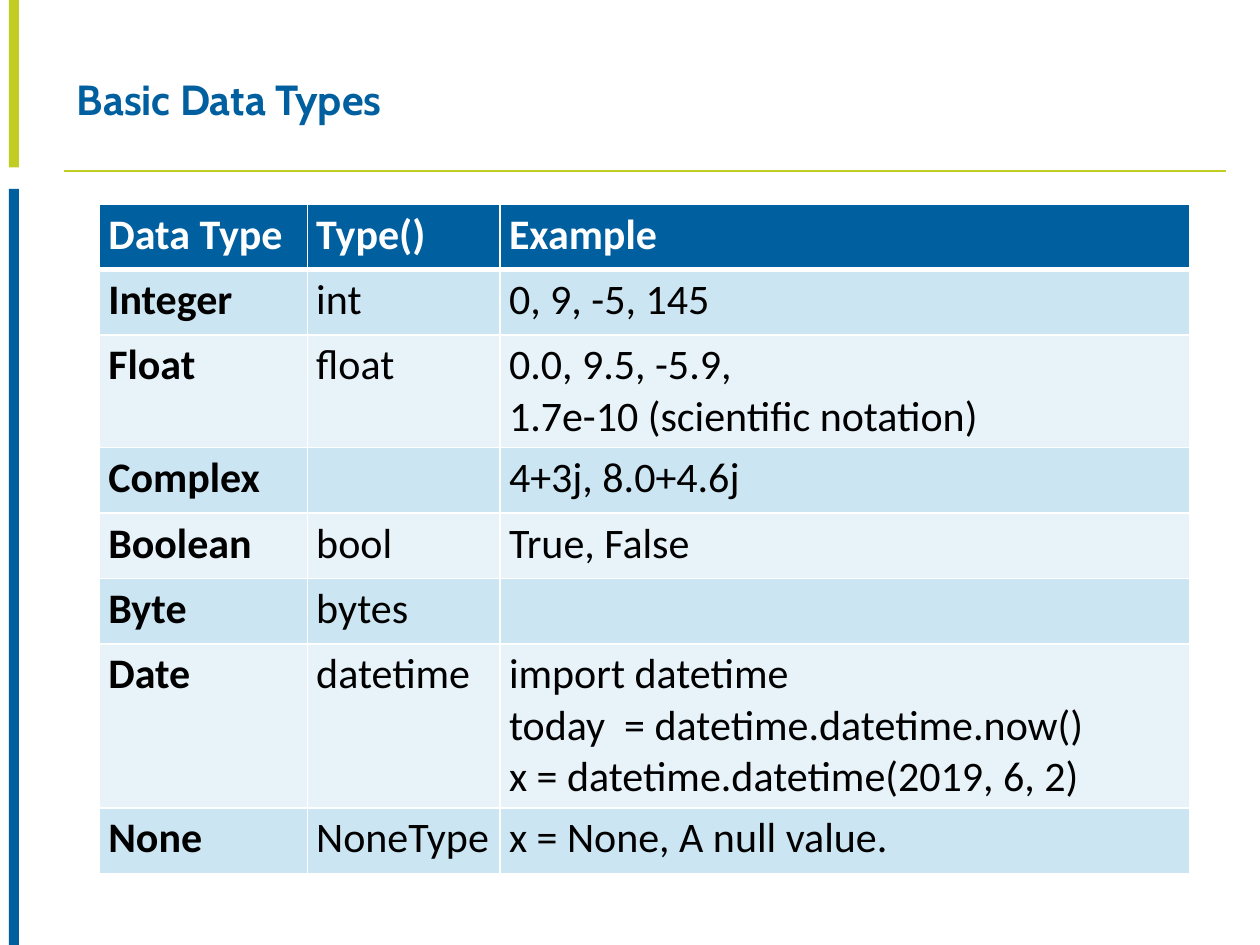
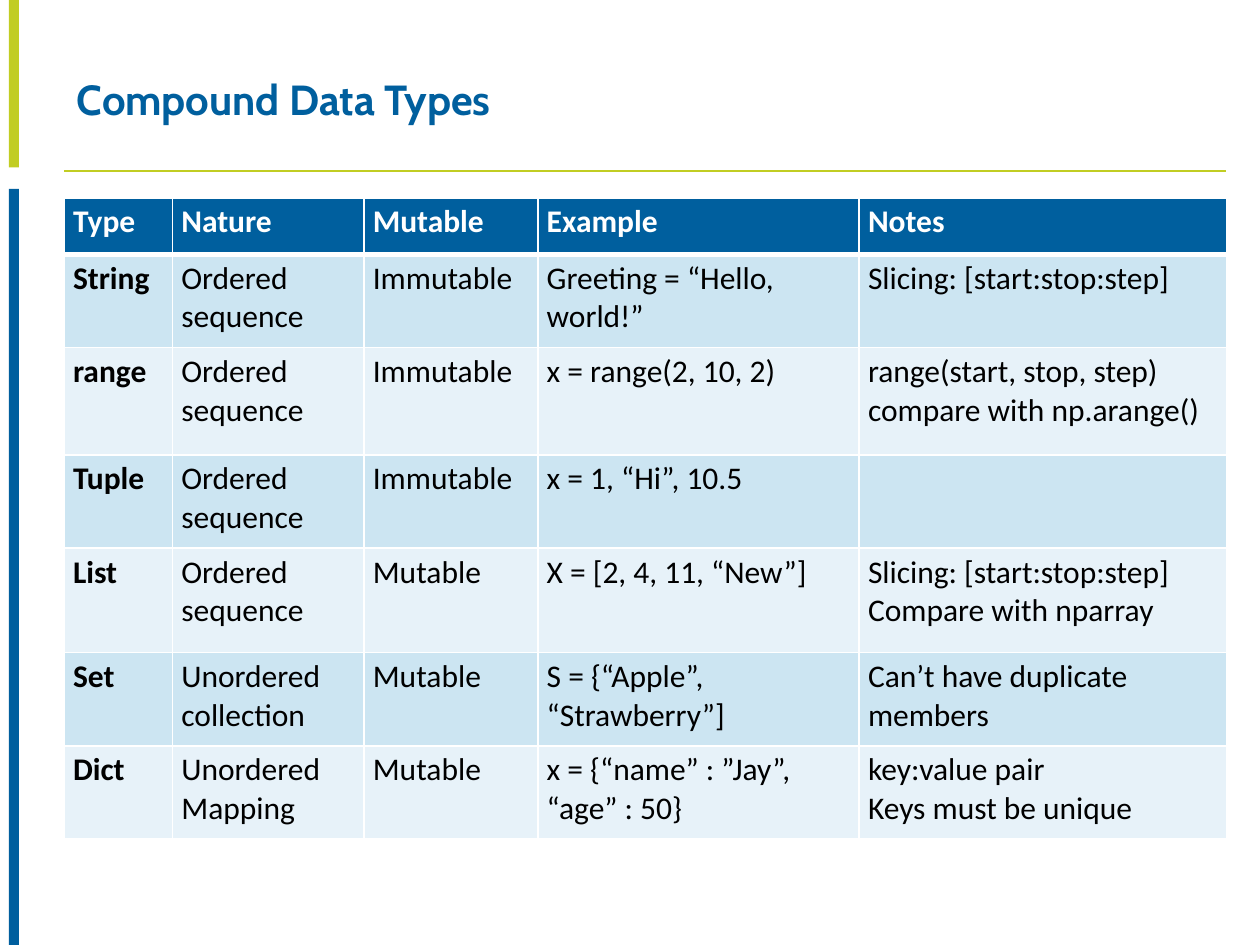
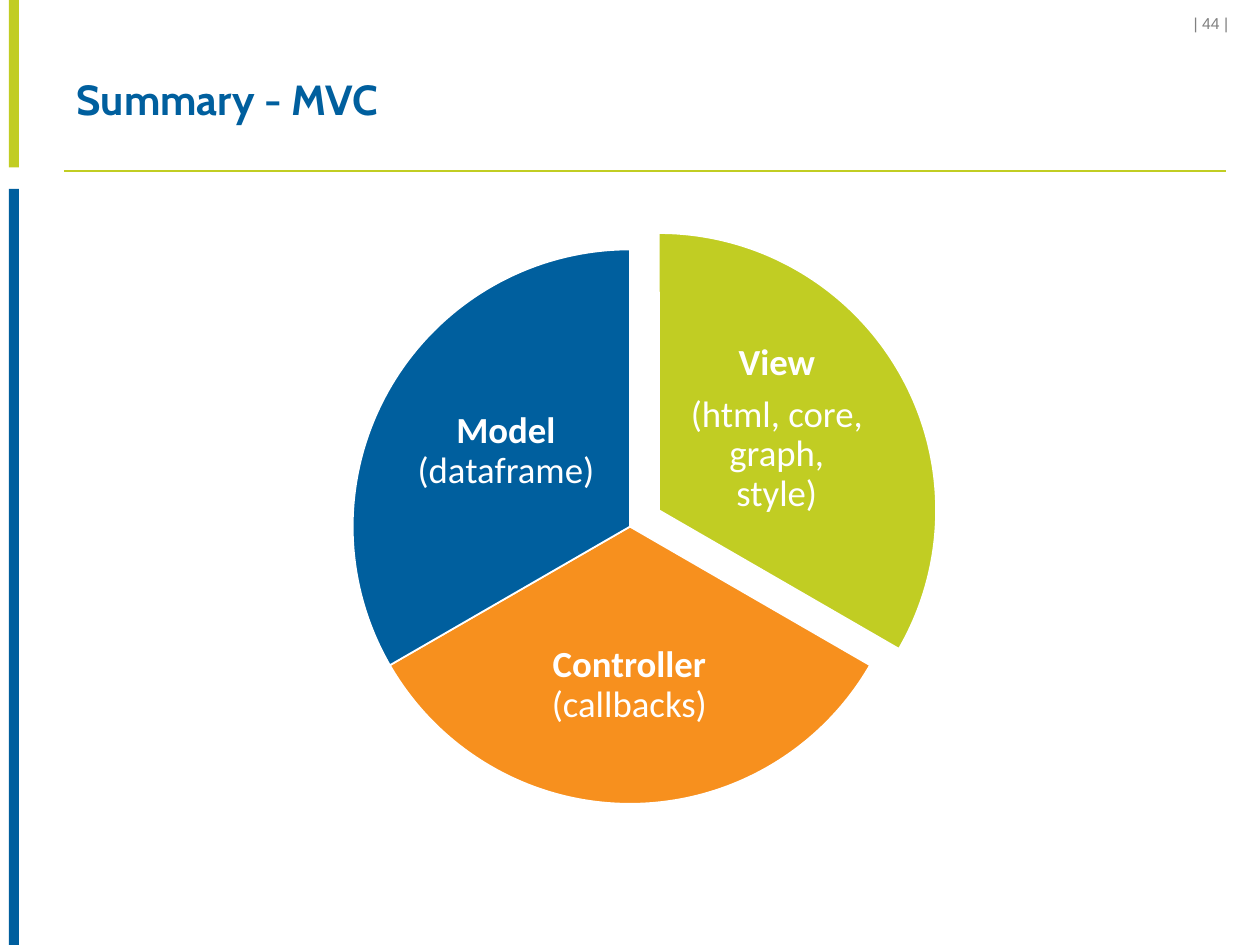
from lxml import etree
from pptx import Presentation, util as u
from pptx.dml.color import RGBColor
from pptx.enum import shapes, text
from pptx.oxml.ns import qn

WIDTH, HEIGHT = 10, 7.5
LEFT, CONTENT_W = 0.51, 9.22
LIME, BLUE, ORANGE, WHITE, BLACK, GRAY = (
    "C1CD23", "005F9E", "F7901E", "FFFFFF", "000000", "808080")
BANDS = "CCE5F2", "E7F2F9"
BODY = {"name": "Calibri", "size": u.Pt(21)}
INSET = 0.03

BASIC_TYPES = [
    ["Data Type", "Type()", "Example"],
    ["Integer", "int", "0, 9, -5, 145"],
    ["Float", "float", "0.0, 9.5, -5.9,\n1.7e-10 (scientific notation)"],
    ["Complex", "", "4+3j, 8.0+4.6j"],
    ["Boolean", "bool", "True, False"],
    ["Byte", "bytes", ""],
    ["Date", "datetime", "import datetime\ntoday  = datetime.datetime.now()\n"
                         "x = datetime.datetime(2019, 6, 2)"],
    ["None", "NoneType", "x = None, A null value."],
]
COMPOUND_TYPES = [
    ["Type", "Nature", "Mutable", "Example", "Notes"],
    ["String", "Ordered sequence", "Immutable", "Greeting = “Hello, world!”",
     "Slicing: [start:stop:step]"],
    ["range", "Ordered sequence", "Immutable", "x = range(2, 10, 2)",
     "range(start, stop, step)\ncompare with np.arange()"],
    ["Tuple", "Ordered sequence", "Immutable", "x = 1, “Hi”, 10.5", ""],
    ["List", "Ordered sequence", "Mutable", "X = [2, 4, 11, “New”]",
     "Slicing: [start:stop:step]\nCompare with nparray"],
    ["Set", "Unordered collection", "Mutable", "S = {“Apple”,\v“Strawberry”]",
     "Can’t have duplicate members"],
    ["Dict", "Unordered Mapping", "Mutable", "x = {“name” : ”Jay”, “age” : 50}",
     "key:value pair\nKeys must be unique"],
]
# Wedge: left, top, start angle, colour, label box, paragraphs of (text, bold)
MVC = [
    (3.03, 1.85, 270, LIME, (5.42, 2.67, 1.49, 1.47),
     [[("View", True)], [("(html, core, graph, style)", False)]]),
    (2.8, 1.98, 30, ORANGE, (4, 4.76, 1.99, 1.36),
     [[("Controller", True), (" (callbacks)", False)]]),
    (2.8, 1.98, 150, BLUE, (3.27, 2.85, 1.49, 1.47),
     [[("Model", True), (" (dataframe)", False)]]),
]


def rgb(value):
    return RGBColor.from_string(value)


def inches(*lengths):
    return [u.Inches(n) for n in lengths]


def assign(obj, **values):
    for name, value in values.items():
        setattr(obj, name, value)


def style_font(font, color, **values):
    assign(font, **values)
    font.color.rgb = rgb(color)


def add_filled(slide, kind, box, color, outline=None):
    sp = slide.shapes.add_shape(kind, *inches(*box))
    sp.shadow.inherit = False
    sp.fill.solid()
    sp.fill.fore_color.rgb = rgb(color)
    if outline:
        sp.line.color.rgb = rgb(outline)
        sp.line.width = u.Pt(1)
    else:
        sp.line.fill.background()
    return sp


def add_rule(slide, x1, x2, y, color):
    line = slide.shapes.add_connector(
        shapes.MSO_CONNECTOR.STRAIGHT, *inches(x1, y, x2, y))
    line.line.color.rgb = rgb(color)
    line.line.width = u.Pt(1)
    etree.SubElement(line._element.spPr, qn("a:effectLst"))
    return line


def move_to_layout(layout, parts):
    """Make the parts a shared background of every slide on the layout."""
    for position, part in enumerate(parts, 2):
        layout.shapes.element.insert(position, part._element)


def add_frame(layout, slide):
    rect = shapes.MSO_SHAPE.RECTANGLE
    move_to_layout(layout, [
        add_filled(slide, rect, (0.07, 0, 0.08, 1.33), LIME),
        add_filled(slide, rect, (0.07, 1.5, 0.08, HEIGHT - 1.5), BLUE),
        add_rule(slide, LEFT, LEFT + CONTENT_W, 1.36, LIME),
    ])


def add_titled_slide(prs, layout, title):
    slide = prs.slides.add_slide(layout)
    sp = slide.shapes.title
    left, top, width, height = inches(LEFT, 0.4, CONTENT_W, 0.82)
    assign(sp, left=left, top=top, width=width, height=height)
    tf = sp.text_frame
    tf.text = title
    assign(tf, vertical_anchor=text.MSO_ANCHOR.MIDDLE,
           auto_size=text.MSO_AUTO_SIZE.NONE)
    p = tf.paragraphs[0]
    assign(p, alignment=text.PP_ALIGN.LEFT, line_spacing=0.9)
    style_font(p.runs[0].font, BLUE, name="Cabin", size=u.Pt(24), bold=True)
    return slide


def add_text(slide, box, paragraphs, color, font, para, **frame):
    """Write paragraphs, each a list of (text, bold) runs."""
    tf = slide.shapes.add_textbox(*inches(*box)).text_frame
    assign(tf, word_wrap=True, **frame)
    for i, runs in enumerate(paragraphs):
        p = tf.add_paragraph() if i else tf.paragraphs[0]
        assign(p, **para)
        for words, bold in runs:
            r = p.add_run()
            r.text = words
            style_font(r.font, color, bold=bold, **font)


def add_borders(cell, **widths):
    tc_pr = cell._tc.get_or_add_tcPr()
    for side in "LRTB":
        line = etree.SubElement(tc_pr, qn(f"a:ln{side}"),
                                w=str(u.Pt(widths.get(side, 1))))
        fill = etree.SubElement(line, qn("a:solidFill"))
        etree.SubElement(fill, qn("a:srgbClr"), val=WHITE)


def fill_cell(cell, words, row, col, size):
    header = row == 0
    add_borders(cell, B=3 if header else 1, T=3 if row == 1 else 1)
    cell.fill.solid()
    cell.fill.fore_color.rgb = rgb(BLUE if header else BANDS[(row - 1) % 2])
    side, edge = inches(0.07, 0.04)
    assign(cell, margin_left=side, margin_right=side,
           margin_top=edge, margin_bottom=edge, text=words)
    for p in cell.text_frame.paragraphs:
        style_font(p.font, WHITE if header else BLACK, name="Calibri",
                   size=u.Pt(size), bold=header or col == 0)
        for r in p.runs:
            style_font(r.font, WHITE if header else BLACK, name="Calibri",
                       size=u.Pt(size), bold=header or col == 0)


def add_type_table(slide, left, top, widths, heights, data, size):
    table = slide.shapes.add_table(
        len(data), len(widths),
        *inches(left, top, sum(widths), sum(heights))).table
    for column, width in zip(table.columns, widths):
        column.width = u.Inches(width)
    for row, height in zip(table.rows, heights):
        row.height = u.Inches(height)
    for i, values in enumerate(data):
        for j, words in enumerate(values):
            fill_cell(table.cell(i, j), words, i, j, size)


def add_wedge(slide, left, top, start, color, label_box, label):
    diameter, sweep = 4.4, 120
    sp = add_filled(slide, shapes.MSO_SHAPE.PIE,
                    (left, top, diameter, diameter), color, WHITE)
    for i, angle in enumerate((start, (start + sweep) % 360)):
        sp.adjustments[i] = angle * 0.6
    margin = u.Inches(INSET)
    add_text(slide, label_box, label, WHITE, BODY,
             dict(alignment=text.PP_ALIGN.CENTER, line_spacing=0.9,
                  space_after=u.Pt(7)),
             vertical_anchor=text.MSO_ANCHOR.MIDDLE,
             margin_left=margin, margin_right=margin,
             margin_top=margin, margin_bottom=margin)


def main():
    prs = Presentation()
    prs.slide_width, prs.slide_height = inches(WIDTH, HEIGHT)
    layout = prs.slide_layouts[5]

    slide = add_titled_slide(prs, layout, "Basic Data Types")
    add_frame(layout, slide)
    add_type_table(slide, 0.79, 1.62, [1.65, 1.53, 5.47],
                   [0.52] * 6 + [0.74, 0.52], BASIC_TYPES, 24)

    slide = add_titled_slide(prs, layout, "Compound Data Types")
    add_type_table(slide, LEFT, 1.57, [0.86, 1.52, 1.38, 2.55, 2.92],
                   [0.45, 0.74, 0.85, 0.74, 0.83, 0.74, 0.74],
                   COMPOUND_TYPES, 18)

    slide = add_titled_slide(prs, layout, "Summary - MVC")
    for wedge in MVC:
        add_wedge(slide, *wedge)
    add_text(slide, (8.43, 0.06, 1.45, 0.28), [[("| 44 | ", False)]], GRAY,
             {"name": "Arial", "size": u.Pt(9)},
             {"alignment": text.PP_ALIGN.RIGHT})

    prs.save("out.pptx")


if __name__ == "__main__":
    main()
